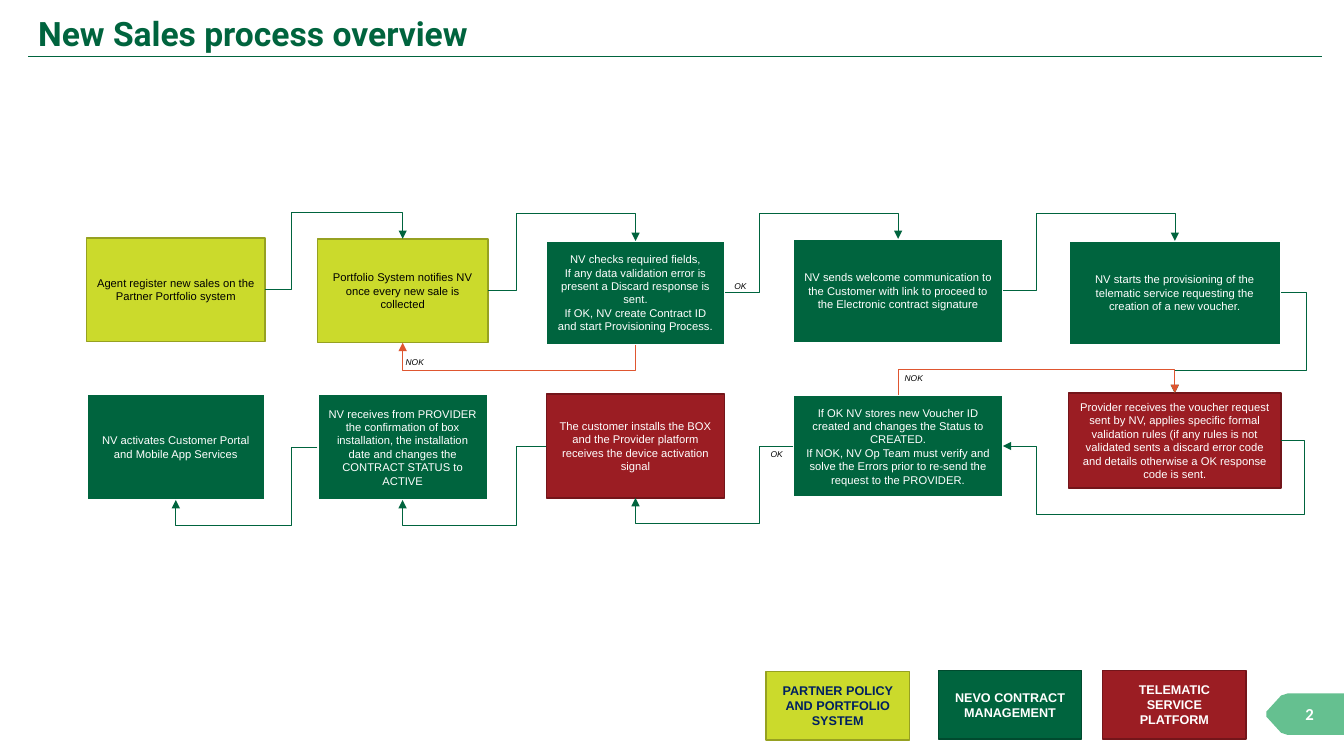
from collections import namedtuple

from lxml import etree
from pptx import Presentation
from pptx import util as u
from pptx.dml.color import RGBColor
from pptx.enum import shapes, text
from pptx.oxml.ns import qn

CELL = u.Inches(0.1)  # the slide is a grid of square cells
COLUMNS, ROWS = 133.33, 75
TOP, LEFT, BOTTOM, RIGHT = range(4)  # connection sites of a rectangle

COLORS = {
    "green": "00643E", "dark green": "004A2E", "mint": "65C090",
    "lime": "CBDA2C", "olive": "96A121", "red": "9B1D23",
    "dark red": "73151A", "orange": "DF5630", "navy": "002060",
    "black": "000000", "white": "FFFFFF",
}

Box = namedtuple("Box", "left top width height")
Style = namedtuple("Style", "fill line line_width font")
PARTNER = Style("lime", "olive", 1, "black")
CONTRACT = Style("green", "white", 1.5, "white")
TELEMATIC = Style("red", "dark red", 1, "white")

# Left and width of each column of steps, inside the process region
STEP_COLUMNS = [(0, 17.7), (22.9, 16.9), (45.6, 17.7), (70.1, 20.8), (97.4, 21.1)]
GUTTERS = [20.3, 42.6, 66.7, 94.2]

# name: column, top, height, style, wording
STEPS = {
    "register": (0, 3.6, 10.3, PARTNER, "Agent register new sales on the Partner Portfolio system"),
    "notify": (1, 3.7, 10.3, PARTNER, "Portfolio System notifies NV once every new sale is collected"),
    "check": (2, 3.9, 10.3, CONTRACT,
              """NV checks required fields,
If any data validation error is present a Discard response is sent.
If OK, NV create Contract ID and start Provisioning Process."""),
    "welcome": (3, 3.7, 10.3, CONTRACT,
                "NV sends welcome communication to the Customer with link to proceed "
                "to the Electronic contract signature"),
    "provision": (4, 3.9, 10.3, CONTRACT,
                  "NV starts the provisioning of the telematic service requesting "
                  "the creation of a new voucher."),
    "activate": (0, 19.1, 10.5, CONTRACT, "NV activates Customer Portal and Mobile App Services"),
    "confirm": (1, 19.1, 10.5, CONTRACT,
                "NV receives from PROVIDER the confirmation of box installation, the "
                "installation date and changes the CONTRACT STATUS to ACTIVE"),
    "install": (2, 19.1, 10.3, TELEMATIC,
                "The customer installs the BOX and the Provider platform receives "
                "the device activation signal"),
    "voucher": (3, 19.2, 10.1, CONTRACT,
                """If OK NV stores new Voucher ID created and changes the Status to CREATED.
If NOK, NV Op Team must verify and solve the Errors prior to re-send the request to the PROVIDER."""),
    "validate": (4, 19, 9.4, TELEMATIC,
                 "Provider receives the voucher request sent by NV, applies specific formal "
                 "validation rules (if any rules is not validated sents a discard error code "
                 "and details otherwise a OK response code is sent."),
}

# from, site, to, site, places of the turns inside the region, colour
FLOWS = [
    ("register", RIGHT, "notify", TOP, (GUTTERS[0], 1.1), "green"),
    ("notify", RIGHT, "check", TOP, (GUTTERS[1], 1.2), "green"),
    ("check", RIGHT, "welcome", TOP, (GUTTERS[2], 1.2), "green"),
    ("welcome", RIGHT, "provision", TOP, (GUTTERS[3], 1.2), "green"),
    ("provision", RIGHT, "validate", TOP, (121, 16.7), "green"),
    ("validate", RIGHT, "voucher", RIGHT, (120.8, 31, GUTTERS[3]), "green"),
    ("voucher", LEFT, "install", BOTTOM, (GUTTERS[2], 31.9), "green"),
    ("install", LEFT, "confirm", BOTTOM, (GUTTERS[1], 32.1), "green"),
    ("confirm", LEFT, "activate", BOTTOM, (GUTTERS[0], 32.1), "green"),
    ("voucher", TOP, "validate", TOP, (16.7,), "orange"),
    ("check", BOTTOM, "notify", BOTTOM, (16.7,), "orange"),
]
FLOW_LABELS = [("OK", 61.4, 7.4), ("NOK", 29.1, 14.9), ("NOK", 78.6, 16.5), ("OK", 65, 24.1)]

LEGEND = [
    (0, 0.1, PARTNER._replace(font="navy"), "PARTNER POLICY AND PORTFOLIO SYSTEM"),
    (17.1, 0, Style("green", "dark green", 1, "white"), "NEVO CONTRACT MANAGEMENT"),
    (33.4, 0, TELEMATIC, "TELEMATIC SERVICE PLATFORM"),
]


def cells(count):
    return round(count * CELL)


def color(name):
    return RGBColor.from_string(COLORS[name])


def inside(region, left, top, width, height):
    return Box(region.left + left, region.top + top, width, height)


def write(shape, wording, size, font_color, name="Arial", bold=False, italic=False,
          align=text.PP_ALIGN.CENTER):
    frame = shape.text_frame
    frame.word_wrap = True
    frame.vertical_anchor = text.MSO_ANCHOR.MIDDLE
    paragraph = frame.paragraphs[0]
    paragraph.text = wording
    paragraph.alignment = align
    font = paragraph.font
    font.name, font.size, font.bold, font.italic = name, u.Pt(size), bold, italic
    font.color.rgb = color(font_color)
    return frame


def add_label(slide, box, wording, size, font_color, **options):
    label = slide.shapes.add_textbox(*map(cells, box))
    return write(label, wording, size, font_color, **options)


def add_block(slide, box, style, wording, size, bold=False):
    block = slide.shapes.add_shape(shapes.MSO_SHAPE.RECTANGLE, *map(cells, box))
    block.shadow.inherit = False
    block.fill.solid()
    block.fill.fore_color.rgb = color(style.fill)
    block.line.color.rgb = color(style.line)
    block.line.width = u.Pt(style.line_width)
    write(block, wording, size, style.font, bold=bold)
    return block


def style_connector(connector, line_color):
    connector.line.color.rgb = color(line_color)
    connector.line.width = u.Pt(0.5)
    etree.SubElement(connector.line._get_or_add_ln().getparent(), qn("a:effectLst"))


def add_flow(slide, source, source_site, target, target_site, turns, line_color):
    """Join two blocks with an elbow arrow; turns alternate between the two axes."""
    connector = slide.shapes.add_connector(shapes.MSO_CONNECTOR.ELBOW, 0, 0, 0, 0)
    connector.begin_connect(source, source_site)
    connector.end_connect(target, target_site)
    start = connector.begin_x, connector.begin_y
    end = connector.end_x, connector.end_y
    first_axis = 1 if source_site in (TOP, BOTTOM) else 0
    shares = []
    for index, turn in enumerate(turns):
        axis = (index + first_axis) % 2
        shares.append((cells(turn) - start[axis]) / (end[axis] - start[axis]))

    if first_axis == 1:  # an elbow that leaves vertically is a quarter turn of a horizontal one
        middle_x, middle_y = (start[0] + end[0]) // 2, (start[1] + end[1]) // 2
        half_x, half_y = (end[1] - start[1]) // 2, (start[0] - end[0]) // 2
        connector.begin_x, connector.begin_y = middle_x - half_x, middle_y - half_y
        connector.end_x, connector.end_y = middle_x + half_x, middle_y + half_y
        connector.rotation = 90

    style_connector(connector, line_color)
    line = connector.line._get_or_add_ln()
    etree.SubElement(line, qn("a:tailEnd"), type="triangle")
    geometry = line.getparent().find(qn("a:prstGeom"))
    geometry.set("prst", f"bentConnector{len(turns) + 2}")
    guides = geometry.find(qn("a:avLst"))
    for number, share in enumerate(shares, 1):
        etree.SubElement(guides, qn("a:gd"), name=f"adj{number}", fmla=f"val {round(share * 100000)}")


def add_header(slide, region, title):
    underline = slide.shapes.add_connector(
        shapes.MSO_CONNECTOR.STRAIGHT, cells(region.left), cells(region.top + region.height),
        cells(region.left + region.width), cells(region.top + region.height))
    style_connector(underline, "green")
    frame = add_label(slide, region, title, 24, "green", name="Roboto", bold=True,
                      align=text.PP_ALIGN.LEFT)
    frame.paragraphs[0].line_spacing = 0.9


def add_process(slide, region):
    blocks = {}
    for name, (column, top, height, style, wording) in STEPS.items():
        left, width = STEP_COLUMNS[column]
        blocks[name] = add_block(slide, inside(region, left, top, width, height), style, wording, 8)
    for source, source_site, target, target_site, turns, line_color in FLOWS:
        first_axis = 1 if source_site in (TOP, BOTTOM) else 0
        offsets = region.left, region.top
        places = [turn + offsets[(index + first_axis) % 2] for index, turn in enumerate(turns)]
        add_flow(slide, blocks[source], source_site, blocks[target], target_site, places, line_color)
    for wording, left, top in FLOW_LABELS:
        frame = add_label(slide, inside(region, left, top, 6.9, 2), wording, 6, "black", italic=True)
        frame.margin_left = frame.margin_right = 0


def add_legend(slide, region):
    for left, top, style, wording in LEGEND:
        add_block(slide, inside(region, left, top, 14.2, region.height), style, wording, 9, bold=True)


def add_page_tag(slide, region, number):
    outline = [(1, 0), (0.27, 0), (0.19, 0.05), (0, 0.44), (0, 0.56), (0.19, 0.95), (0.27, 1), (1, 1)]
    points = [(cells(region.left + x * region.width), cells(region.top + y * region.height))
              for x, y in outline]
    builder = slide.shapes.build_freeform(*points[0])
    builder.add_line_segments(points[1:], close=True)
    tag = builder.convert_to_shape()
    tag.shadow.inherit = False
    tag.fill.solid()
    tag.fill.fore_color.rgb = color("mint")
    tag.line.fill.background()
    add_label(slide, inside(region, 2.3, 0.5, 4, 3), number, 12, "white", name="Calibri", bold=True)


def main():
    presentation = Presentation()
    presentation.slide_width, presentation.slide_height = cells(COLUMNS), cells(ROWS)
    slide = presentation.slides.add_slide(presentation.slide_layouts[6])
    add_page_tag(slide, Box(COLUMNS - 7.7, 68.8, 7.7, 4.1), "2")
    add_header(slide, Box(2.8, 1.5, 128.4, 4.1), "New Sales process overview")
    add_process(slide, Box(8.6, 20, 121, 32.1))
    add_legend(slide, Box(76, 66.5, 46.6, 6.8))
    presentation.save("out.pptx")


if __name__ == "__main__":
    main()
